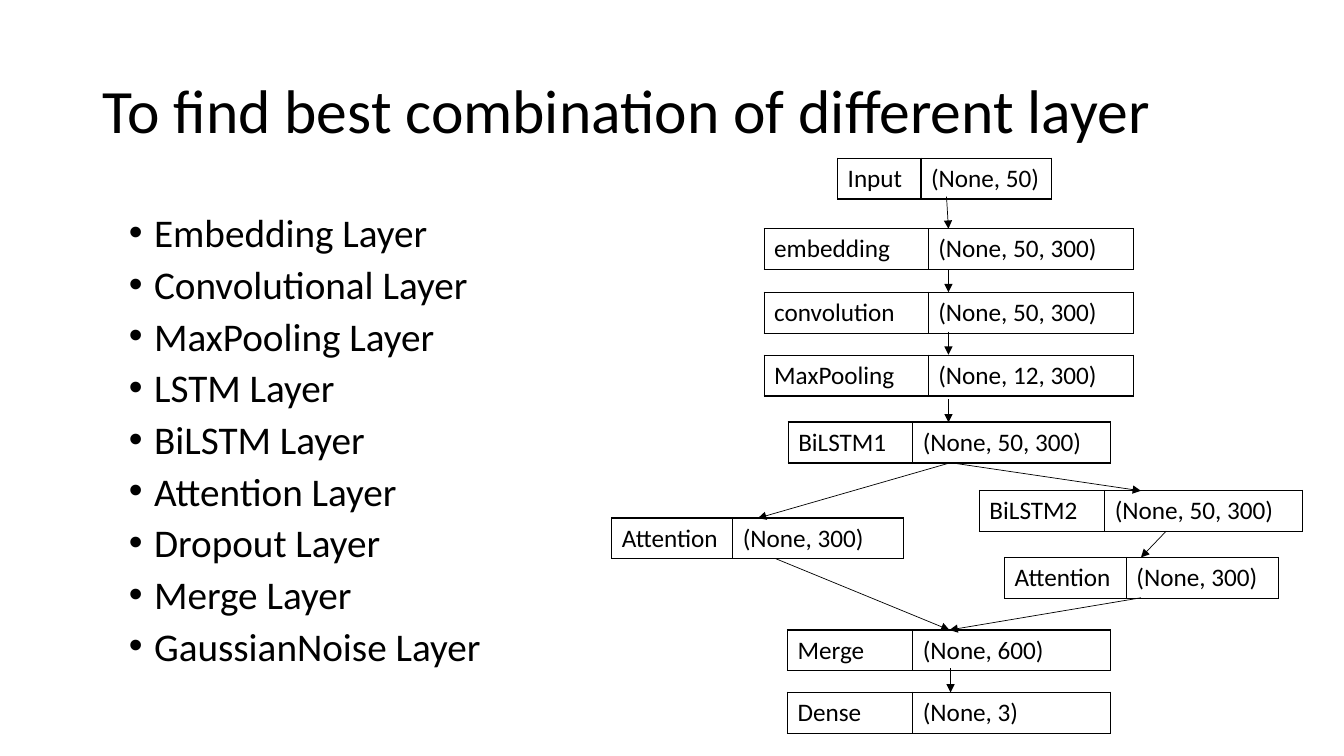
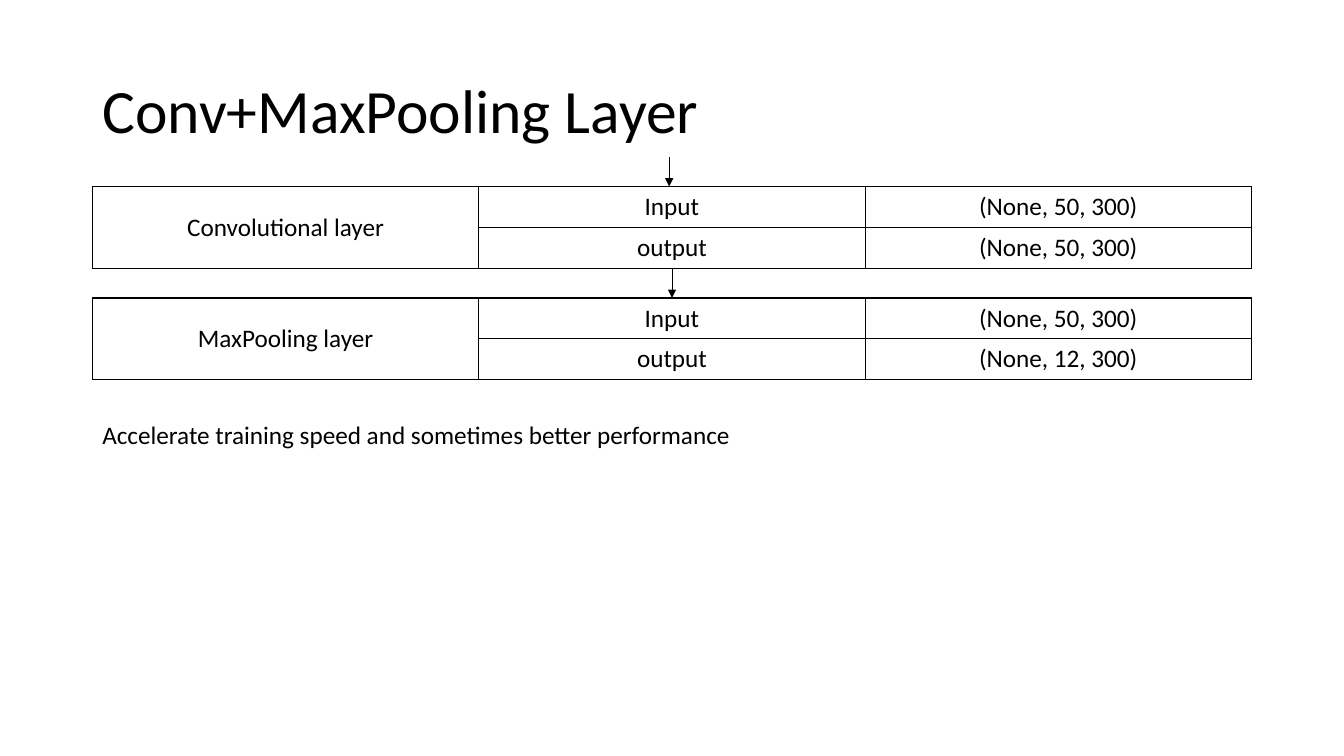
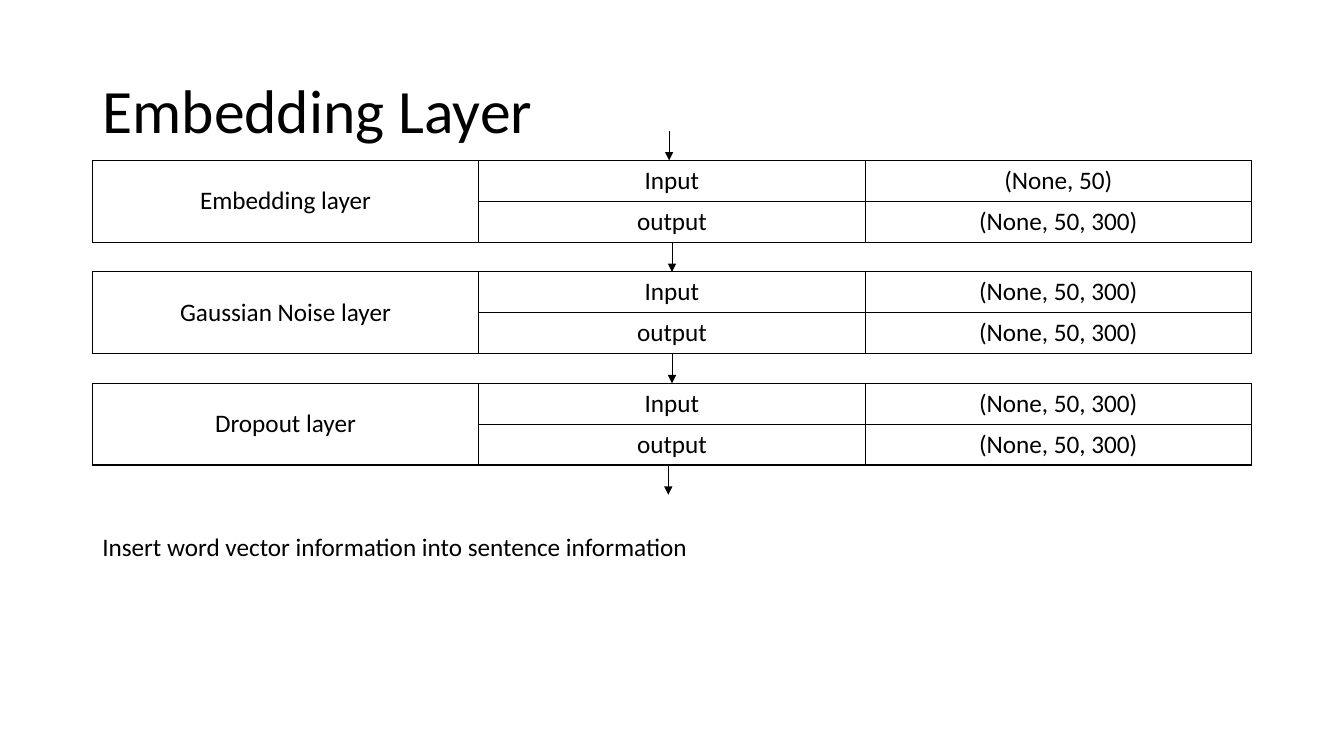
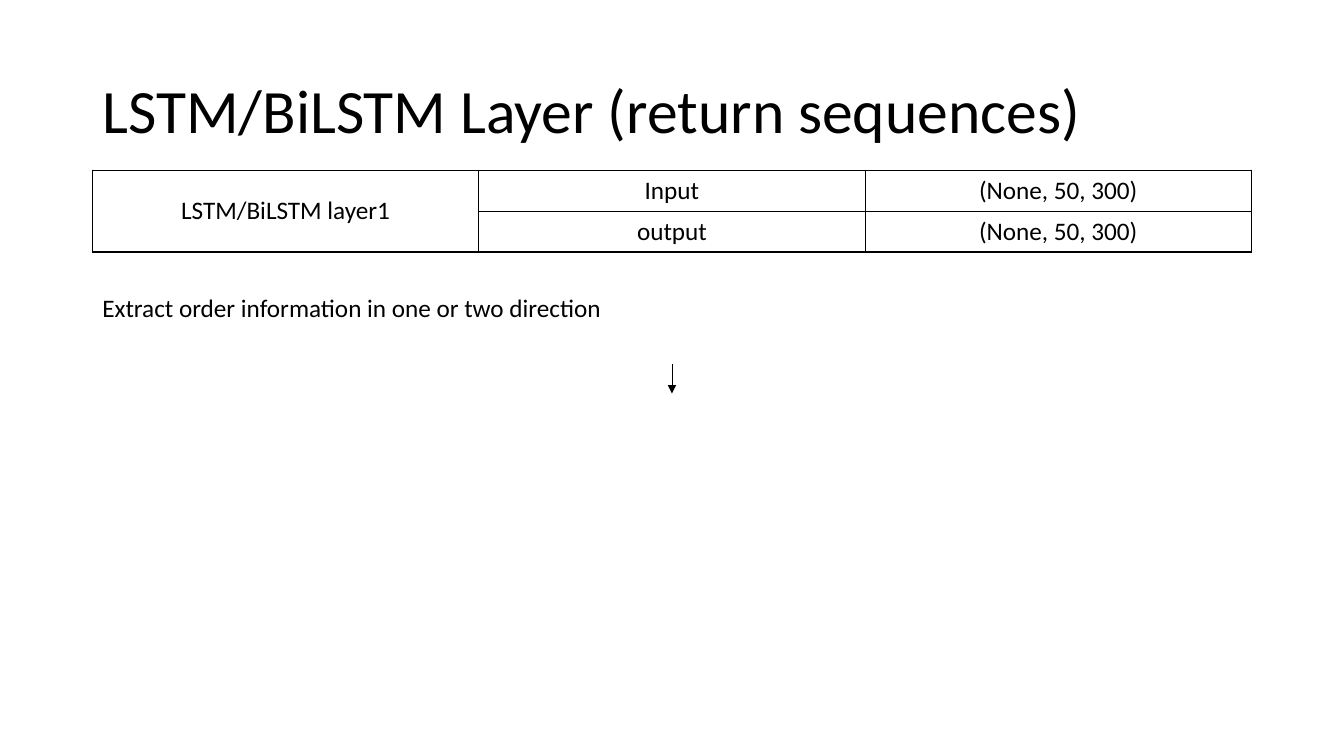
"""Build four slides on the layers of a neural text classifier."""
from lxml import etree
from pptx import Presentation
from pptx.dml.color import RGBColor
from pptx.enum.shapes import MSO_CONNECTOR
from pptx.enum.text import MSO_ANCHOR, MSO_AUTO_SIZE, PP_ALIGN
from pptx.oxml.ns import qn
from pptx.util import Pt

STRAIGHT = MSO_CONNECTOR.STRAIGHT
TOP, MIDDLE = MSO_ANCHOR.TOP, MSO_ANCHOR.MIDDLE
LEFT, CENTER = PP_ALIGN.LEFT, PP_ALIGN.CENTER
GROW = MSO_AUTO_SIZE.SHAPE_TO_FIT_TEXT

COLORS = {"ink": "000000", "paper": "FFFFFF"}
FONT = "Calibri"
TITLE_ONLY = 5
MARGIN, CONTENT_WIDTH = 66, 828
ROW_HEIGHT, ARROW_LENGTH = 29.2, 21.2
BLOCK_HEIGHT = 2 * ROW_HEIGHT
MIDDLE_X = MARGIN + CONTENT_WIDTH / 2

LAYER_NAMES = [
    "Embedding Layer", "Convolutional Layer", "MaxPooling Layer",
    "LSTM Layer", "BiLSTM Layer", "Attention Layer", "Dropout Layer",
    "Merge Layer", "GaussianNoise Layer",
]
NETWORK_NODES = [
    ("Input", "(None, 50)", 598.3, 113, 59.5, 93.5),
    ("embedding", "(None, 50, 300)", 545.8, 163.3, 117.2, 146.7),
    ("convolution", "(None, 50, 300)", 545.8, 208.8, 117.2, 146.7),
    ("MaxPooling", "(None, 12, 300)", 545.8, 253.7, 117.2, 146.7),
    ("BiLSTM1", "(None, 50, 300)", 563, 301.5, 89, 141.2),
    ("BiLSTM2", "(None, 50, 300)", 699.6, 350.4, 89.5, 141.2),
    ("Attention", "(None, 300)", 437, 370, 86.4, 121.8),
    ("Attention", "(None, 300)", 717.6, 398.2, 87, 108.6),
    ("Merge", "(None, 600)", 562.5, 450, 89.5, 141.2),
    ("Dense", "(None, 3)", 562.5, 494.5, 89.5, 141.2),
]
NETWORK_ARROWS = [
    (676.1, 140.4, 677.5, 163.4),
    (677.5, 192.2, 677.5, 208.8),
    (677.5, 236.9, 677.5, 253.4),
    (677.5, 285.1, 677.5, 301.7),
    (679, 330.5, 541.4, 370.1),
    (679, 330.5, 815, 350.6),
    (833, 379.4, 815, 398.2),
    (553.7, 398.9, 678.2, 450),
    (815, 427, 678.2, 450),
    (679, 477.4, 679, 494.6),
]


def color(name):
    """Return a named colour."""
    return RGBColor.from_string(COLORS[name])


def write_text(paragraph, text, size=18, align=LEFT, line_spacing=None,
               space_before=0, bullet=False):
    """Write formatted text into a paragraph."""
    paragraph.alignment = align
    paragraph.space_before = Pt(space_before)
    if line_spacing:
        paragraph.line_spacing = line_spacing
    if bullet:
        properties = paragraph._p.get_or_add_pPr()
        properties.set("marL", str(Pt(18)))
        properties.set("indent", str(-Pt(18)))
        etree.SubElement(properties, qn("a:buFont"), typeface="Arial")
        etree.SubElement(properties, qn("a:buChar"), char="•")
    run = paragraph.add_run()
    run.text = text
    run.font.name = FONT
    run.font.size = Pt(size)
    run.font.color.rgb = color("ink")


def add_slide(presentation, title):
    """Add a slide with the shared title style."""
    slide = presentation.slides.add_slide(
        presentation.slide_layouts[TITLE_ONLY])
    shape = slide.shapes.title
    shape.left, shape.top = Pt(MARGIN), Pt(28.8)
    shape.width, shape.height = Pt(CONTENT_WIDTH), Pt(104.4)
    shape.text_frame.vertical_anchor = MIDDLE
    write_text(shape.text_frame.paragraphs[0], title, size=44,
               line_spacing=0.9)
    return slide


def add_text_box(slide, left, top, width, height):
    """Add a wrapping text box and return its text frame."""
    shape = slide.shapes.add_textbox(Pt(left), Pt(top), Pt(width), Pt(height))
    shape.text_frame.word_wrap = True
    return shape.text_frame


def add_bullets(slide, items):
    """Add the bulleted list."""
    frame = add_text_box(slide, 85, 152, CONTENT_WIDTH, 342.6)
    for index, item in enumerate(items):
        paragraph = frame.add_paragraph() if index else frame.paragraphs[0]
        write_text(paragraph, item, size=28, line_spacing=0.8,
                   space_before=10 if index else 0, bullet=True)


def add_note(slide, text, top):
    """Add a line of body text below the tables."""
    frame = add_text_box(slide, MARGIN, top, 816.5, 29)
    frame.auto_size = GROW
    write_text(frame.paragraphs[0], text)


def add_arrow(slide, start_x, start_y, end_x, end_y):
    """Add a thin line ending in a triangle."""
    connector = slide.shapes.add_connector(
        STRAIGHT, Pt(start_x), Pt(start_y), Pt(end_x), Pt(end_y))
    connector.line.color.rgb = color("ink")
    connector.line.width = Pt(0.5)
    properties = connector.element.spPr
    etree.SubElement(properties.find(qn("a:ln")), qn("a:tailEnd"),
                     type="triangle")
    etree.SubElement(properties, qn("a:effectLst"))


def add_down_arrow(slide, x, top):
    """Add a short arrow pointing down."""
    add_arrow(slide, x, top, x, top + ARROW_LENGTH)


def format_cell(cell):
    """Give a cell black borders and a plain fill."""
    properties = cell._tc.get_or_add_tcPr()
    for side in ("lnL", "lnR", "lnT", "lnB"):
        line = etree.SubElement(properties, qn(f"a:{side}"), w=str(Pt(1)))
        fill = etree.SubElement(line, qn("a:solidFill"))
        etree.SubElement(fill, qn("a:srgbClr"), val=COLORS["ink"])
    cell.fill.solid()
    cell.fill.fore_color.rgb = color("paper")


def add_table(slide, rows, left, top, widths, align=LEFT, anchor=TOP):
    """Add a bordered table; None marks a cell merged with the one above."""
    table = slide.shapes.add_table(
        len(rows), len(widths), Pt(left), Pt(top), Pt(sum(widths)),
        Pt(ROW_HEIGHT * len(rows))).table
    table.first_row = table.horz_banding = False
    for column, width in zip(table.columns, widths):
        column.width = Pt(width)
    for row_index, row in enumerate(rows):
        table.rows[row_index].height = Pt(ROW_HEIGHT)
        for column_index, text in enumerate(row):
            cell = table.cell(row_index, column_index)
            format_cell(cell)
            cell.vertical_anchor = anchor
            if text is None:
                table.cell(row_index - 1, column_index).merge(cell)
            else:
                write_text(cell.text_frame.paragraphs[0], text, align=align)


def add_layer_stack(slide, layers, top):
    """Add layer tables joined by arrows and return the bottom edge."""
    for index, (name, input_shape, output_shape) in enumerate(layers):
        if index:
            add_down_arrow(slide, MIDDLE_X, top)
            top += ARROW_LENGTH
        rows = [(name, "Input", input_shape), (None, "output", output_shape)]
        add_table(slide, rows, MARGIN, top, [CONTENT_WIDTH / 3] * 3,
                  align=CENTER, anchor=MIDDLE)
        top += BLOCK_HEIGHT
    return top


def add_network_slide(presentation):
    """Add the slide with the layer list and the network diagram."""
    slide = add_slide(presentation,
                      "To find best combination of different layer")
    add_bullets(slide, LAYER_NAMES)
    for name, output_shape, left, top, *widths in NETWORK_NODES:
        add_table(slide, [(name, output_shape)], left, top, widths)
    for ends in NETWORK_ARROWS:
        add_arrow(slide, *ends)


def add_pooling_slide(presentation):
    """Add the slide on convolution and pooling."""
    slide = add_slide(presentation, "Conv+MaxPooling Layer")
    top = 133.2
    add_layer_stack(slide, [
        ("Convolutional layer", "(None, 50, 300)", "(None, 50, 300)"),
        ("MaxPooling layer", "(None, 50, 300)", "(None, 12, 300)"),
    ], top)
    add_down_arrow(slide, 478, top - ARROW_LENGTH)
    add_note(slide, "Accelerate training speed and sometimes better "
             "performance", 296)


def add_embedding_slide(presentation):
    """Add the slide on embedding."""
    slide = add_slide(presentation, "Embedding Layer")
    top = 114.6
    bottom = add_layer_stack(slide, [
        ("Embedding layer", "(None, 50)", "(None, 50, 300)"),
        ("Gaussian Noise layer", "(None, 50, 300)", "(None, 50, 300)"),
        ("Dropout layer", "(None, 50, 300)", "(None, 50, 300)"),
    ], top)
    add_down_arrow(slide, 478, top - ARROW_LENGTH)
    add_down_arrow(slide, 477.4, bottom)
    add_note(slide, "Insert word vector information into sentence "
             "information", 375.8)


def add_recurrent_slide(presentation):
    """Add the slide on recurrent layers."""
    slide = add_slide(presentation, "LSTM/BiLSTM Layer (return sequences)")
    add_layer_stack(slide, [
        ("LSTM/BiLSTM layer1", "(None, 50, 300)", "(None, 50, 300)"),
    ], 121.6)
    add_down_arrow(slide, MIDDLE_X, 259.9)
    add_note(slide, "Extract order information in one or two direction", 205.2)


def main():
    """Build and save the presentation."""
    presentation = Presentation()
    presentation.slide_width, presentation.slide_height = Pt(960), Pt(540)
    add_network_slide(presentation)
    add_pooling_slide(presentation)
    add_embedding_slide(presentation)
    add_recurrent_slide(presentation)
    presentation.save("out.pptx")


if __name__ == "__main__":
    main()
